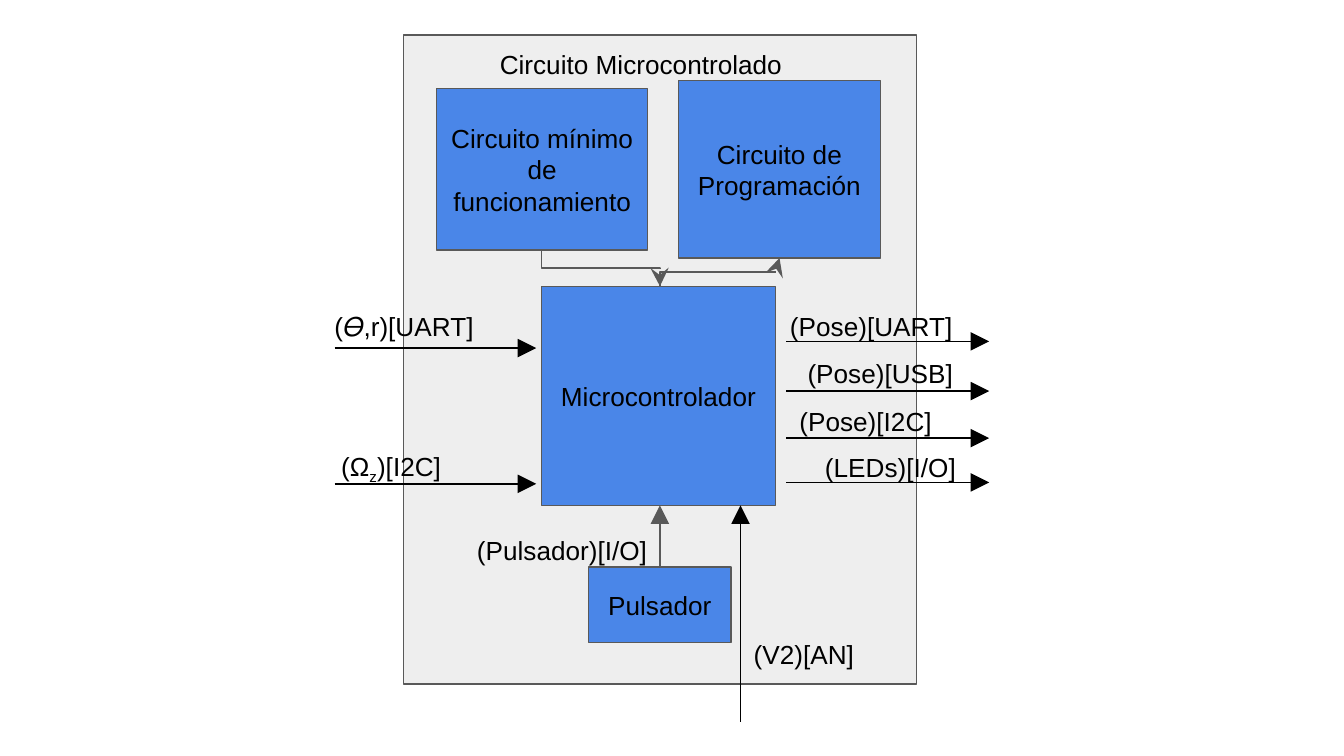
from dataclasses import dataclass

from lxml import etree
from pptx import Presentation
from pptx import util as u
from pptx.dml.color import RGBColor
from pptx.enum import shapes, text
from pptx.oxml import ns
from pptx.util import Inches


@dataclass(frozen=True)
class Theme:
    """Hold the colours, font and sizes of the diagram."""
    panel: RGBColor = RGBColor(0xEE, 0xEE, 0xEE)
    block: RGBColor = RGBColor(0x4A, 0x86, 0xE8)
    edge: RGBColor = RGBColor(0x59, 0x59, 0x59)
    ink: RGBColor = RGBColor(0, 0, 0)
    font: str = "Arial"
    size: u.Pt = u.Pt(14)
    line: u.Pt = u.Pt(0.75)
    inset: float = 0.1


THEME = Theme()


def style_text(tf):
    """Apply the common margins and font to a text frame."""
    tf.word_wrap = True
    tf.margin_left = tf.margin_right = Inches(THEME.inset)
    tf.margin_top = tf.margin_bottom = Inches(THEME.inset)
    for p in tf.paragraphs:
        for r in p.runs:
            r.font.name = THEME.font
            r.font.size = THEME.size
            r.font.color.rgb = THEME.ink


def add_box(s, x, y, w, h, fill, caption=""):
    """Draw an outlined rectangle with an optional centred caption."""
    sp = s.shapes.add_shape(shapes.MSO_SHAPE.RECTANGLE,
                            Inches(x), Inches(y), Inches(w), Inches(h))
    sp.shadow.inherit = False
    sp.fill.solid()
    sp.fill.fore_color.rgb = fill
    sp.line.color.rgb = THEME.edge
    sp.line.width = THEME.line
    if caption:
        tf = sp.text_frame
        tf.text = caption
        tf.vertical_anchor = text.MSO_ANCHOR.MIDDLE
        tf.paragraphs[0].alignment = text.PP_ALIGN.CENTER
        style_text(tf)


def add_label(s, x, y, w, h, caption, subscript="", rest=""):
    """Write a signal name, optionally with a subscript inside it."""
    sp = s.shapes.add_textbox(Inches(x), Inches(y), Inches(w), Inches(h))
    tf = sp.text_frame
    tf.text = caption
    p = tf.paragraphs[0]
    if subscript:
        r = p.add_run()
        r.text = subscript
        r.font._element.set("baseline", "-25000")
        p.add_run().text = rest
    style_text(tf)


def add_arrow(s, x1, y1, x2, y2, color, head="triangle",
              kind=shapes.MSO_CONNECTOR.STRAIGHT):
    """Draw a connector with a large arrowhead at its end."""
    cx = s.shapes.add_connector(kind, Inches(x1), Inches(y1),
                                Inches(x2), Inches(y2))
    cx.line.color.rgb = color
    cx.line.width = THEME.line
    etree.SubElement(cx.line._get_or_add_ln(), ns.qn("a:tailEnd"),
                     type=head, w="lg", len="lg")
    etree.SubElement(cx._element.spPr, ns.qn("a:effectLst"))
    return cx


def add_elbow(s, x1, y1, x2, y2):
    """Draw an elbow that leaves and arrives vertically."""
    mx, my = (x1 + x2) / 2, (y1 + y2) / 2
    dx, dy = (x2 - x1) / 2, (y2 - y1) / 2
    cx = add_arrow(s, mx + dy, my - dx, mx - dy, my + dx, THEME.edge,
                   "stealth", shapes.MSO_CONNECTOR.ELBOW)
    cx.rotation = 270


def main():
    """Build the microcontroller circuit diagram."""
    prs = Presentation()
    prs.slide_width = Inches(10)
    prs.slide_height = prs.slide_width * 9 // 16
    s = prs.slides.add_slide(prs.slide_layouts[6])

    add_box(s, 3, 0.26, 3.82, 4.83, THEME.panel)
    for x, y, w, h, caption in (
            (4.03, 2.13, 1.74, 1.63, "Microcontrolador"),
            (3.25, 0.66, 1.57, 1.2, "Circuito mínimo de funcionamiento"),
            (4.38, 4.22, 1.06, 0.56, "Pulsador"),
            (5.05, 0.6, 1.5, 1.32, "Circuito de Programación")):
        add_box(s, x, y, w, h, THEME.block, caption)

    add_elbow(s, 4.91, 2.13, 5.8, 1.92)
    add_elbow(s, 4.03, 1.86, 4.91, 2.13)
    add_arrow(s, 4.91, 4.22, 4.91, 3.76, THEME.edge)
    for y in (2.59, 3.6):
        add_arrow(s, 2.49, y, 3.99, y, THEME.ink)
    add_arrow(s, 5.51, 5.37, 5.51, 3.76, THEME.ink)
    for y in (2.54, 2.91, 3.26, 3.59):
        add_arrow(s, 5.85, y, 7.36, y, THEME.ink)

    for label in (
            (5.51, 4.65, 1.06, 0.49, "(V2)[AN]"),
            (2.39, 2.21, 1.39, 0.49, "(𝛳,r)[UART]"),
            (2.44, 3.25, 1.06, 0.49, "(Ω", "z", ")[I2C]"),
            (3.62, 0.26, 4.22, 0.49, "Circuito Microcontrolado"),
            (3.45, 3.88, 1.61, 0.34, "(Pulsador)[I/O]"),
            (5.91, 2.56, 1.32, 0.34, "(Pose)[USB]"),
            (5.78, 2.21, 1.44, 0.34, "(Pose)[UART]"),
            (6.04, 3.26, 1.36, 0.34, "(LEDs)[I/O]"),
            (5.85, 2.92, 1.26, 0.34, "(Pose)[I2C]")):
        add_label(s, *label)

    prs.save("out.pptx")


if __name__ == "__main__":
    main()
